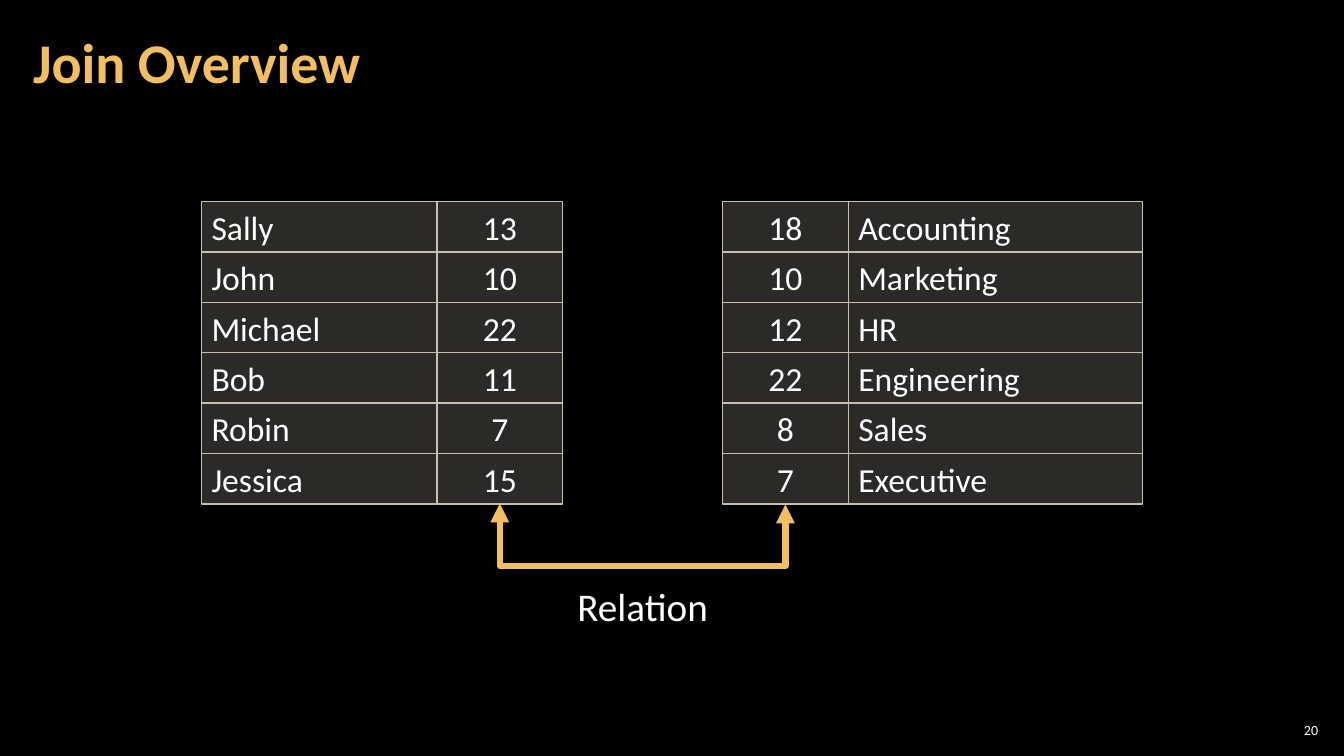
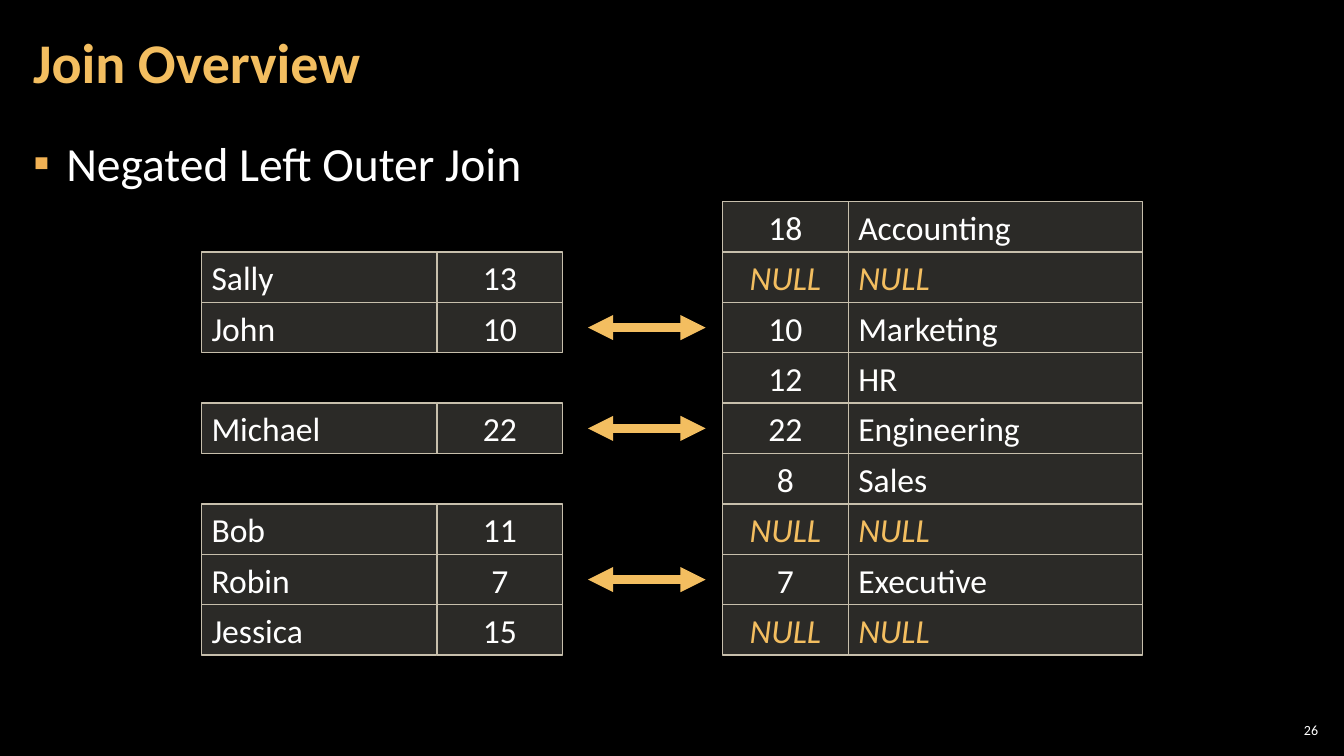
from dataclasses import dataclass

from lxml import etree
from pptx import Presentation
from pptx import util as u
from pptx.dml.color import RGBColor
from pptx.enum import shapes, text
from pptx.oxml.ns import qn

BLACK = RGBColor(0x00, 0x00, 0x00)
WHITE = RGBColor(0xFF, 0xFF, 0xFF)
AMBER = RGBColor(0xF3, 0xBE, 0x60)
BULLET = RGBColor(0xF2, 0xB2, 0x54)
SAND = RGBColor(0xD9, 0xD5, 0xC7)
SAND_LINE = RGBColor(0xC7, 0xBF, 0xAC)
FONT = "Calibri"
NULL = "NULL"

# The slide is a grid of 160 columns by 15 rows.
SLIDE_W, SLIDE_H = u.Inches(13.333), u.Inches(7.5)
COL, ROW = u.Inches(1 / 12), u.Inches(0.5)

LEFT, CENTER, RIGHT = text.PP_ALIGN.LEFT, text.PP_ALIGN.CENTER, text.PP_ALIGN.RIGHT
MIDDLE, TOP = text.MSO_ANCHOR.MIDDLE, text.MSO_ANCHOR.TOP


@dataclass(frozen=True)
class Box:
    """An area in grid columns and rows."""
    col: float
    row: float
    cols: float
    rows: float

    def emu(self) -> tuple[int, int, int, int]:
        return (round(self.col * COL), round(self.row * ROW),
                round(self.cols * COL), round(self.rows * ROW))


@dataclass(frozen=True)
class Style:
    size: float
    color: RGBColor = WHITE
    bold: bool = False
    italic: bool = False


@dataclass(frozen=True)
class Column:
    col: float
    cols: float
    align: text.PP_ALIGN


@dataclass(frozen=True)
class Record:
    row: int
    values: tuple[str, str]


TITLE_BOX = Box(2.5, 0.08, 125.6, 2.42)
BODY_BOX = Box(2.5, 2.52, 154.9, 12.18)
NUMBER_BOX = Box(151.8, 14.28, 5.6, 0.42)

TITLE = Style(40, AMBER, bold=True)
BODY = Style(34)
LABEL = Style(28)
CELL = Style(24)
NULL_CELL = Style(24, AMBER, italic=True)
NUMBER = Style(10)

PEOPLE = (Column(24, 28, LEFT), Column(52, 15, CENTER))
DEPARTMENTS = (Column(86, 15, CENTER), Column(101, 35, LEFT))

PEOPLE_ROWS = (("Sally", "13"), ("John", "10"), ("Michael", "22"),
               ("Bob", "11"), ("Robin", "7"), ("Jessica", "15"))
DEPARTMENT_ROWS = (("18", "Accounting"), ("10", "Marketing"), ("12", "HR"),
                   ("22", "Engineering"), ("8", "Sales"), ("7", "Executive"))
FIRST_ROW = 4
END_ROW = FIRST_ROW + len(PEOPLE_ROWS)


def place(sp, box: Box) -> None:
    sp.left, sp.top, sp.width, sp.height = box.emu()


def write(tf, words: str, style: Style, align=LEFT, anchor=MIDDLE):
    tf.vertical_anchor = anchor
    p = tf.paragraphs[0]
    p.alignment = align
    r = p.add_run()
    r.text = words
    f = r.font
    f.name, f.size, f.bold, f.italic = FONT, u.Pt(style.size), style.bold, style.italic
    f.color.rgb = style.color
    return p


def set_frame(tf, side: float) -> None:
    tf.word_wrap = True
    tf.auto_size = text.MSO_AUTO_SIZE.NONE
    tf.margin_left = tf.margin_right = u.Inches(side)
    tf.margin_top = tf.margin_bottom = u.Inches(0.04)


def add_slide(prs, layout: int, title: str, number: str):
    s = prs.slides.add_slide(prs.slide_layouts[layout])
    sp = s.shapes.title
    place(sp, TITLE_BOX)
    set_frame(sp.text_frame, 0.12)
    write(sp.text_frame, title, TITLE).line_spacing = 0.9
    tf = s.shapes.add_textbox(*NUMBER_BOX.emu()).text_frame
    set_frame(tf, 0.04)
    write(tf, number, NUMBER, RIGHT)
    return s


def add_bullet(sp, words: str) -> None:
    place(sp, BODY_BOX)
    set_frame(sp.text_frame, 0.12)
    p = write(sp.text_frame, words, BODY, anchor=TOP)
    p.line_spacing = 1.05
    p.space_before = p.space_after = u.Pt(6)
    pPr = p._p.get_or_add_pPr()
    indent = u.Inches(0.33)
    pPr.set("marL", str(indent))
    pPr.set("indent", str(-indent))
    color = etree.SubElement(pPr, qn("a:buClr"))
    etree.SubElement(color, qn("a:srgbClr"), val=str(BULLET))
    etree.SubElement(pPr, qn("a:buChar"), char="▪")


def add_cell(s, box: Box, words: str, align) -> None:
    sp = s.shapes.add_shape(shapes.MSO_SHAPE.RECTANGLE, *box.emu())
    sp.shadow.inherit = False
    sp.fill.solid()
    sp.fill.fore_color.rgb = SAND
    color = sp._element.spPr.find(f"{qn('a:solidFill')}/{qn('a:srgbClr')}")
    etree.SubElement(color, qn("a:alpha"), val="20000")
    sp.line.color.rgb = SAND_LINE
    sp.line.width = u.Pt(1)
    write(sp.text_frame, words, NULL_CELL if words == NULL else CELL, align)


def add_records(s, columns: tuple[Column, Column], records: list[Record]) -> None:
    for record in records:
        for column, words in zip(columns, record.values):
            add_cell(s, Box(column.col, record.row, column.cols, 1), words, column.align)


def stacked(rows) -> list[Record]:
    return [Record(row, values) for row, values in enumerate(rows, FIRST_ROW)]


def format_arrow(c, points: float) -> None:
    """Amber line with a triangle at both ends and no shadow."""
    c.line.color.rgb = AMBER
    c.line.width = u.Pt(points)
    ln = c.line._get_or_add_ln()
    for end in ("a:headEnd", "a:tailEnd"):
        etree.SubElement(ln, qn(end), type="triangle")
    etree.SubElement(c._element.spPr, qn("a:effectLst"))


def add_match_arrow(s, row: int) -> None:
    y = round((row + 0.5) * ROW)
    c = s.shapes.add_connector(shapes.MSO_CONNECTOR.STRAIGHT, 70 * COL, y, 84 * COL, y)
    format_arrow(c, 6)


def add_relation(s, words: str) -> None:
    """Link the two key columns from below with an elbow, and label it."""
    start, end = (k.col + k.cols / 2 for k in (PEOPLE[1], DEPARTMENTS[0]))
    middle = (start + end) / 2
    x, y = round(middle * COL), END_ROW * ROW
    half, thin, drop = round((end - start) / 2 * COL), u.Inches(0.01), u.Inches(0.63)
    # An elbow runs sideways, so it is drawn upright and turned by 270 degrees.
    c = s.shapes.add_connector(shapes.MSO_CONNECTOR.ELBOW,
                               x + thin // 2, y - half, x - thin // 2, y + half)
    spPr = c._element.spPr
    spPr.find(qn("a:xfrm")).set("rot", str(270 * 60000))
    guides = spPr.find(qn("a:prstGeom")).find(qn("a:avLst"))
    etree.SubElement(guides, qn("a:gd"), name="adj1", fmla=f"val {drop * 100000 // thin}")
    format_arrow(c, 4.5)

    label = Box(middle - 9, 11.46, 18, 1.14)
    tf = s.shapes.add_textbox(*label.emu()).text_frame
    tf.word_wrap = False
    write(tf, words, LABEL, CENTER, TOP)


def build_relation_slide(prs) -> None:
    s = add_slide(prs, 5, "Join Overview", "20")
    add_records(s, PEOPLE, stacked(PEOPLE_ROWS))
    add_records(s, DEPARTMENTS, stacked(DEPARTMENT_ROWS))
    add_relation(s, "Relation")


def build_outer_join_slide(prs) -> None:
    s = add_slide(prs, 1, "Join Overview", "26")
    add_bullet(s.placeholders[1], "Negated Left Outer Join")
    people = [Record(row, values)
              for row, values in zip((5, 6, 8, 10, 11, 12), PEOPLE_ROWS)]
    departments = [Record(row, values)
                   for row, values in zip((4, 6, 7, 8, 9, 11), DEPARTMENT_ROWS)]
    matches = {record.row: record.values[0] for record in departments}
    add_records(s, PEOPLE, people)
    add_records(s, DEPARTMENTS, departments)
    for person in people:
        if matches.get(person.row) == person.values[1]:
            add_match_arrow(s, person.row)
        else:
            add_records(s, DEPARTMENTS, [Record(person.row, (NULL, NULL))])


def main() -> None:
    prs = Presentation()
    prs.slide_width, prs.slide_height = SLIDE_W, SLIDE_H
    fill = prs.slide_master.background.fill
    fill.solid()
    fill.fore_color.rgb = BLACK
    build_relation_slide(prs)
    build_outer_join_slide(prs)
    prs.save("out.pptx")


if __name__ == "__main__":
    main()
